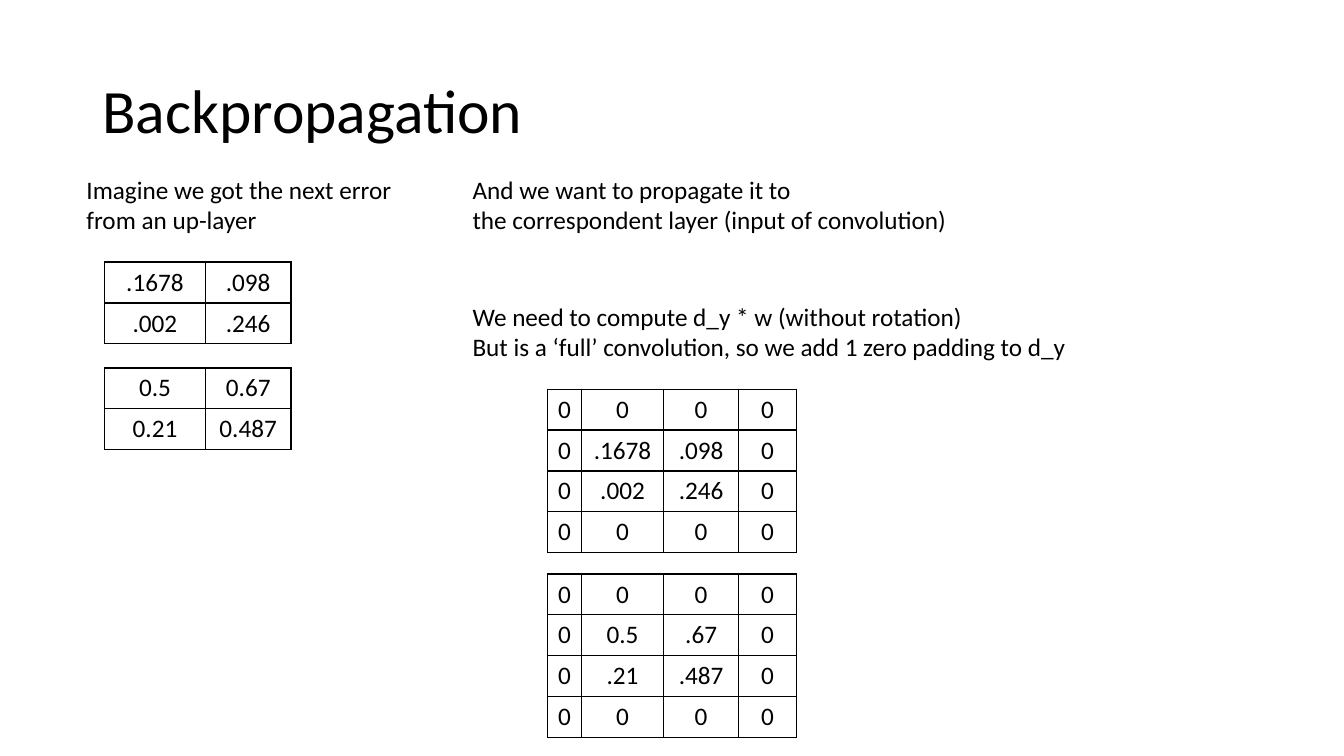
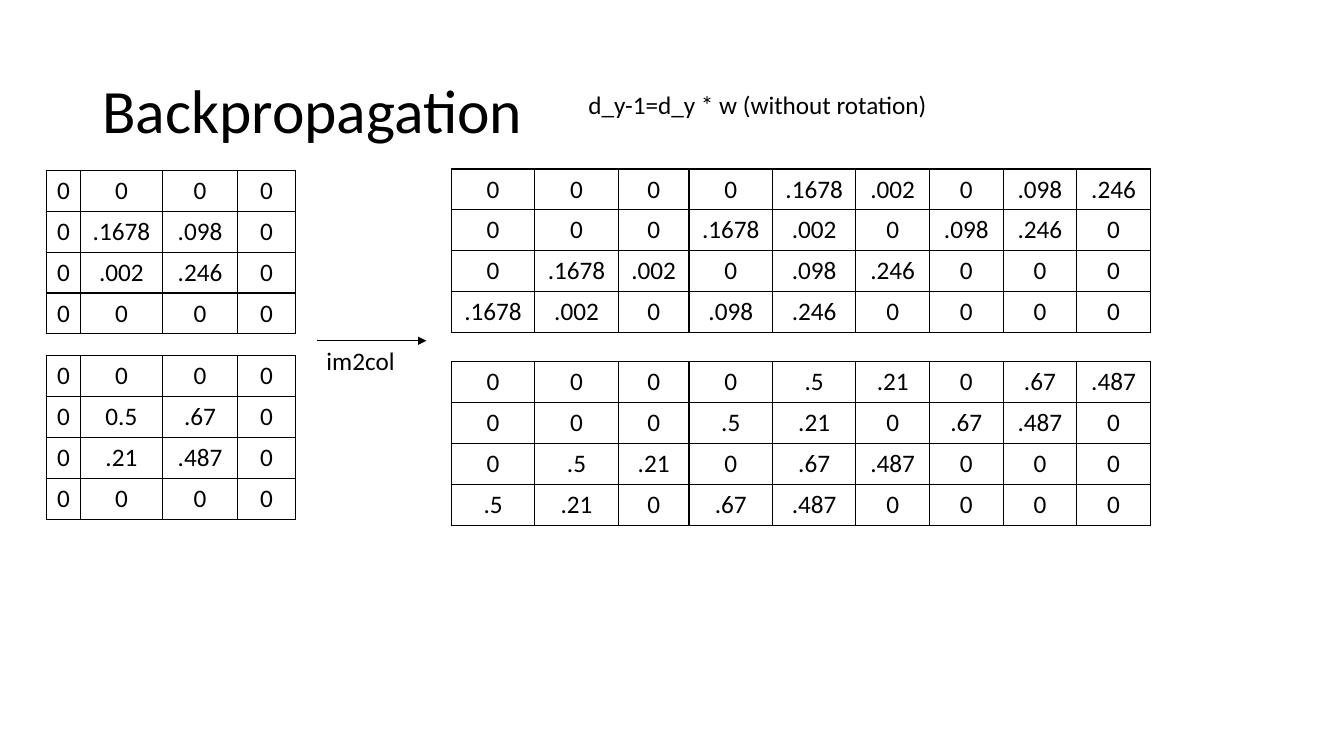
from lxml import etree
from pptx import Presentation
from pptx.dml.color import RGBColor
from pptx.enum import shapes, text
from pptx.oxml import ns
from pptx.util import Pt

COLORS = {"ink": "000000", "paper": "FFFFFF"}
INK = RGBColor.from_string(COLORS["ink"])
BODY = {"name": "Calibri", "size": Pt(18)}
HEADING = {"name": "Calibri", "size": Pt(44)}
ROW_HEIGHT = 29.2
ERROR_COLS = [72, 61.2]
PADDED_COLS = [24.5, 58.3, 54, 41]
PATCH_COLS = [59.6, 59.6, 50.6, 59.6, 59.6] + [52.6] * 4


def add_text(slide, place, lines, font=BODY, wrap=False, anchor=text.MSO_ANCHOR.TOP, spacing=1.0):
    frame = slide.shapes.add_textbox(*map(Pt, place)).text_frame
    frame.word_wrap = wrap
    frame.vertical_anchor = anchor
    frame.text = "\n".join(lines)
    for line in frame.paragraphs:
        line.line_spacing = spacing
        line.font.color.rgb = INK
        for key, value in font.items():
            setattr(line.font, key, value)


def add_matrix(slide, left, top, widths, values):
    height = ROW_HEIGHT * len(values)
    grid = slide.shapes.add_table(len(values), len(widths), Pt(left), Pt(top),
                                  Pt(sum(widths)), Pt(height)).table
    grid.first_row = grid.horz_banding = False
    for column, width in zip(grid.columns, widths):
        column.width = Pt(width)
    for row, row_values in zip(grid.rows, values):
        row.height = Pt(ROW_HEIGHT)
        for cell, value in zip(row.cells, row_values):
            cell.text = value
            entry = cell.text_frame.paragraphs[0]
            entry.alignment = text.PP_ALIGN.CENTER
            entry.font.color.rgb = INK
            for key, setting in BODY.items():
                setattr(entry.font, key, setting)
            cell.fill.background()
            properties = cell._tc.get_or_add_tcPr()
            for position, side in enumerate(("lnL", "lnR", "lnT", "lnB")):
                border = etree.Element(ns.qn(f"a:{side}"), w=str(Pt(1)))
                fill = etree.SubElement(border, ns.qn("a:solidFill"))
                etree.SubElement(fill, ns.qn("a:srgbClr"), val=COLORS["ink"])
                properties.insert(position, border)


prs = Presentation()
prs.slide_width, prs.slide_height = Pt(960), Pt(540)

errors = [
    [[".1678", ".098"], [".002", ".246"]],
    [["0.5", "0.67"], ["0.21", "0.487"]],
]
padded_errors = [
    [["0"] * 4, *(["0", *row, "0"] for row in inner), ["0"] * 4]
    for inner in (errors[0], [["0.5", ".67"], [".21", ".487"]])
]
patch_rows = [
    [
        [padded[down + r][across + c].replace("0.", ".") for c in range(3) for r in range(3)]
        for across in range(2) for down in range(2)
    ]
    for padded in padded_errors
]

slides = []
for _ in range(2):
    slide = prs.slides.add_slide(prs.slide_layouts[6])
    slide.background.fill.solid()
    slide.background.fill.fore_color.rgb = RGBColor.from_string(COLORS["paper"])
    add_text(slide, (66, 28.8, 828, 104.4), ["Backpropagation"], HEADING, True,
             text.MSO_ANCHOR.MIDDLE, 0.9)
    slides.append(slide)
padding_slide, im2col_slide = slides

for place, lines in [
    ((54.7, 121, 234.7, 51), ["Imagine we got the next error", "from an up-layer"]),
    ((330.5, 121, 357.1, 51), ["And we want to propagate it to",
                               "the correspondent layer (input of convolution)"]),
    ((330.5, 211.7, 443.5, 51), ["We need to compute d_y * w (without rotation)",
                                 "But is a ‘full’ convolution, so we add 1 zero padding to d_y"]),
]:
    add_text(padding_slide, place, lines)

add_text(im2col_slide, (413.3, 60.5, 259.2, 29), ["d_y-1=d_y * w (without rotation)"])
add_text(im2col_slide, (226.1, 243.4, 64.1, 29), ["im2col"])

for slide, left, tops, widths, matrices in [
    (padding_slide, 74.7, (187.2, 262.8), ERROR_COLS, errors),
    (padding_slide, 391, (278, 410), PADDED_COLS, padded_errors),
    (im2col_slide, 33.1, (121.7, 254), PADDED_COLS, padded_errors),
    (im2col_slide, 322.4, (120.7, 258.3), PATCH_COLS, patch_rows),
]:
    for top, values in zip(tops, matrices):
        add_matrix(slide, left, top, widths, values)

unrolling = im2col_slide.shapes.add_connector(
    shapes.MSO_CONNECTOR.STRAIGHT, Pt(226.1), Pt(243.4), Pt(304.6), Pt(243.4))
unrolling.line.color.rgb = INK
unrolling.line.width = Pt(0.5)
etree.SubElement(unrolling.line._get_or_add_ln(), ns.qn("a:tailEnd"), type="triangle")
etree.SubElement(unrolling._element.spPr, ns.qn("a:effectLst"))

prs.save("out.pptx")
